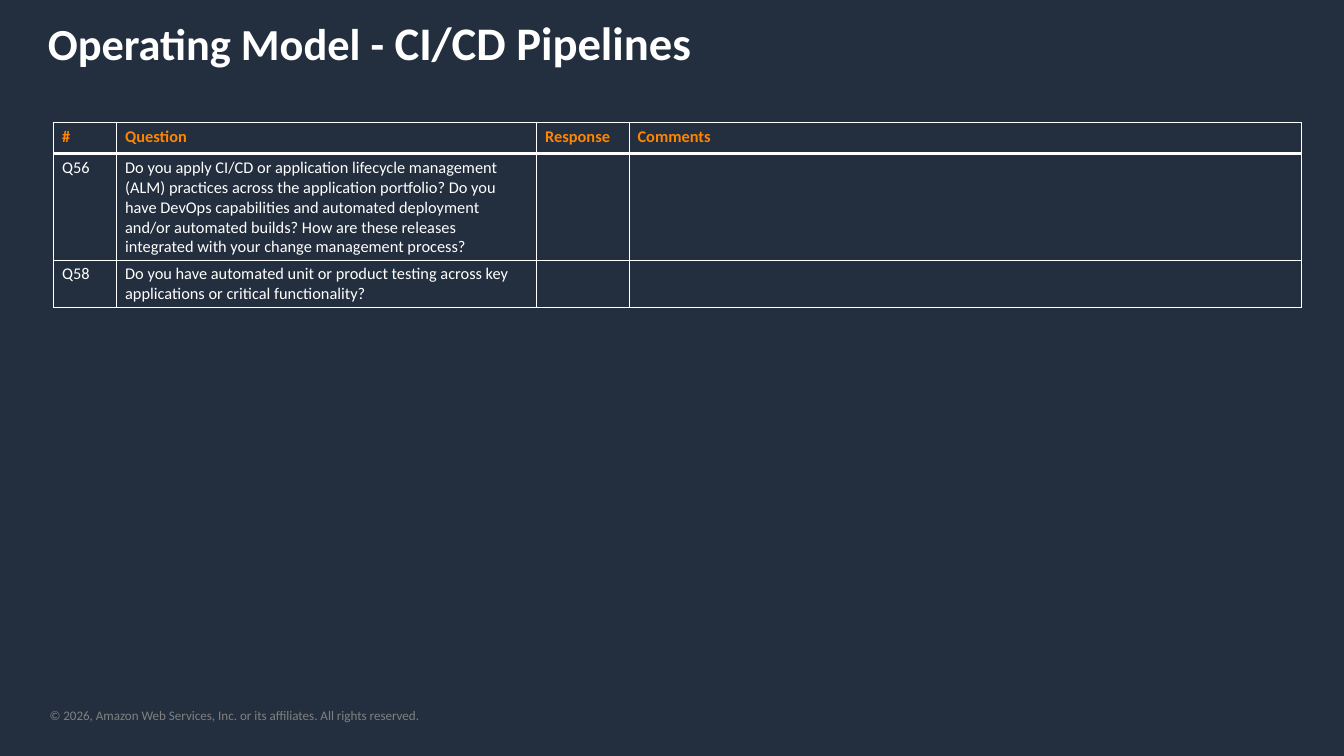
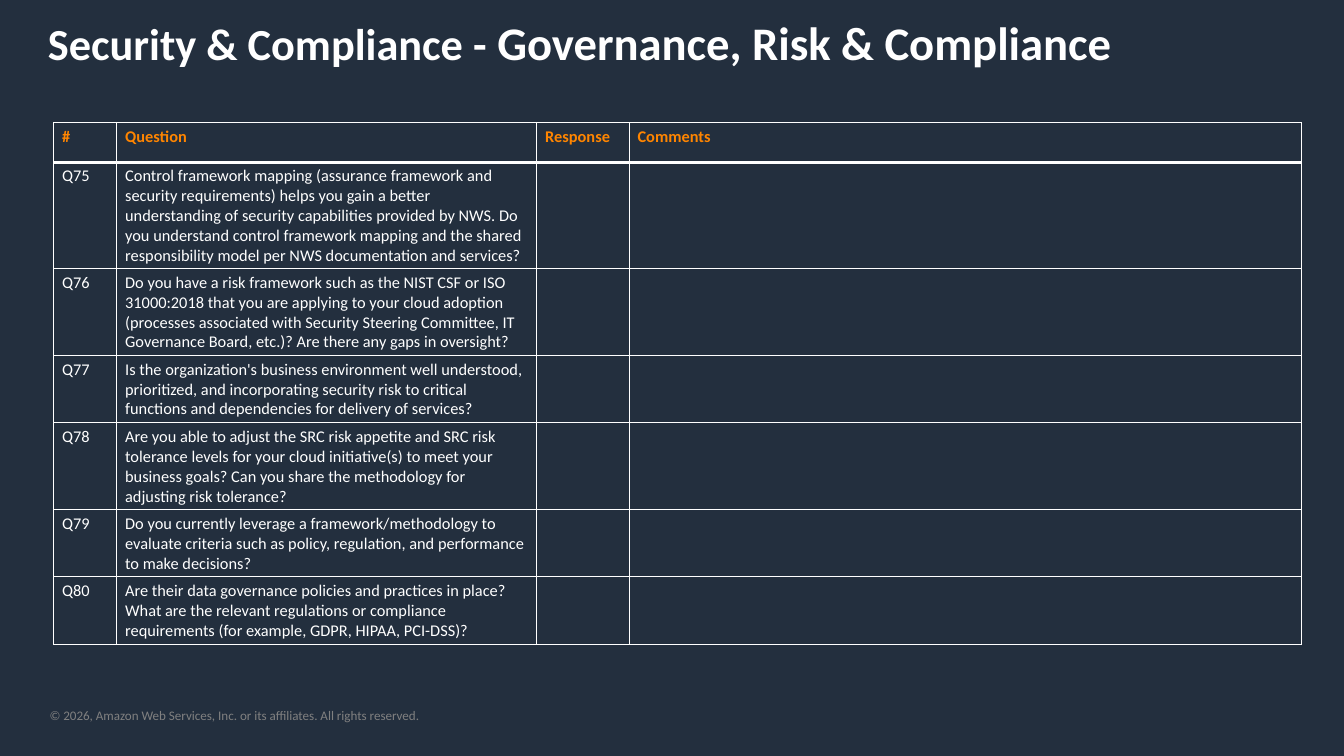
"""Build two assessment slides, each with a question table."""
from dataclasses import dataclass

import lxml.etree
import pptx
import pptx.dml.color
import pptx.enum.text
import pptx.oxml.ns
import pptx.presentation
import pptx.slide
import pptx.table
import pptx.text.text
import pptx.util
from pptx.util import Inches

FONT = "Calibri"
COLORS = {"back": "232F3E", "text": "FFFFFF", "head": "FF8500", "foot": "808080"}
HEADS = ("#", "Question", "Response", "Comments")
WIDTHS = (0.75, 5, 1.1, 8)
NOTICE = "© 2026, Amazon Web Services, Inc. or its affiliates. All rights reserved."


@dataclass
class Page:
    area: str
    topic: str
    height: float
    items: dict[str, str]


PAGES = [
    Page("Operating Model", "CI/CD Pipelines", 0.37, {
        "Q56": "Do you apply CI/CD or application lifecycle management (ALM) practices across "
               "the application portfolio? Do you have DevOps capabilities and automated "
               "deployment and/or automated builds? How are these releases integrated with "
               "your change management process?",
        "Q58": "Do you have automated unit or product testing across key applications or "
               "critical functionality?",
    }),
    Page("Security & Compliance", "Governance, Risk & Compliance", 0.47, {
        "Q75": "Control framework mapping (assurance framework and security requirements) "
               "helps you gain a better understanding of security capabilities provided by "
               "NWS. Do you understand control framework mapping and the shared "
               "responsibility model per NWS documentation and services?",
        "Q76": "Do you have a risk framework such as the NIST CSF or ISO 31000:2018 that you "
               "are applying to your cloud adoption (processes associated with Security "
               "Steering Committee, IT Governance Board, etc.)? Are there any gaps in "
               "oversight?",
        "Q77": "Is the organization's business environment well understood, prioritized, and "
               "incorporating security risk to critical functions and dependencies for "
               "delivery of services?",
        "Q78": "Are you able to adjust the SRC risk appetite and SRC risk tolerance levels for "
               "your cloud initiative(s) to meet your business goals? Can you share the "
               "methodology for adjusting risk tolerance?",
        "Q79": "Do you currently leverage a framework/methodology to evaluate criteria such as "
               "policy, regulation, and performance to make decisions?",
        "Q80": "Are their data governance policies and practices in place? What are the "
               "relevant regulations or compliance requirements (for example, GDPR, HIPAA, "
               "PCI-DSS)?",
    }),
]


def tint(name: str) -> pptx.dml.color.RGBColor:
    return pptx.dml.color.RGBColor.from_string(COLORS[name])


def style(font: pptx.text.text.Font, size: float, color: str, bold: bool = False) -> None:
    font.name = FONT
    font.size = pptx.util.Pt(size)
    font.bold = bold
    font.color.rgb = tint(color)


def add_title(slide: pptx.slide.Slide, page: Page) -> None:
    title = slide.shapes.title
    title.left, title.top = Inches(0.47), Inches(0.11)
    title.width, title.height = Inches(15.26), Inches(0.77)
    frame = title.text_frame
    frame.auto_size = pptx.enum.text.MSO_AUTO_SIZE.SHAPE_TO_FIT_TEXT
    frame.vertical_anchor = pptx.enum.text.MSO_ANCHOR.TOP
    line = frame.paragraphs[0]
    line.alignment = pptx.enum.text.PP_ALIGN.LEFT
    for text, size in ((f"{page.area} - ", 38), (page.topic, 40)):
        run = line.add_run()
        run.text = text
        style(run.font, size, "text", True)


def add_footer(slide: pptx.slide.Slide) -> None:
    box = slide.shapes.add_textbox(Inches(0.59), Inches(8.42), Inches(7.78), Inches(0.19))
    frame = box.text_frame
    frame.word_wrap = True
    frame.margin_left = frame.margin_right = frame.margin_top = frame.margin_bottom = 0
    frame.text = NOTICE
    style(frame.paragraphs[0].font, 11.2, "foot")


def add_border(cell: pptx.table._Cell, side: str, points: int) -> None:
    name = pptx.oxml.ns.qn
    props = cell._tc.get_or_add_tcPr()
    line = lxml.etree.SubElement(props, name(f"a:ln{side}"), w=str(pptx.util.Pt(points)))
    fill = lxml.etree.SubElement(line, name("a:solidFill"))
    lxml.etree.SubElement(fill, name("a:srgbClr"), val=COLORS["text"])


def add_grid(slide: pptx.slide.Slide, page: Page) -> None:
    rows = [HEADS] + [(key, text, "", "") for key, text in page.items.items()]
    frame = slide.shapes.add_table(
        len(rows), len(HEADS), Inches(0.64), Inches(1.46),
        Inches(sum(WIDTHS)), Inches(page.height * len(rows)))
    table = frame.table
    for column, width in zip(table.columns, WIDTHS):
        column.width = Inches(width)
    for index, row in enumerate(rows):
        table.rows[index].height = Inches(page.height)
        head = index == 0
        sides = {"L": 1, "R": 1, "T": 3 if index == 1 else 1, "B": 3 if head else 1}
        for cell, text in zip(table.rows[index].cells, row):
            for side, points in sides.items():
                add_border(cell, side, points)
            cell.fill.background()
            cell.text = text
            style(cell.text_frame.paragraphs[0].font, 14, "head" if head else "text", head)


def add_page(deck: pptx.presentation.Presentation, page: Page) -> None:
    slide = deck.slides.add_slide(deck.slide_layouts[5])
    add_footer(slide)
    add_title(slide, page)
    add_grid(slide, page)


def main() -> None:
    deck = pptx.Presentation()
    deck.slide_width, deck.slide_height = Inches(16), Inches(9)
    fill = deck.slide_master.background.fill
    fill.solid()
    fill.fore_color.rgb = tint("back")
    for page in PAGES:
        add_page(deck, page)
    deck.save("out.pptx")


if __name__ == "__main__":
    main()
